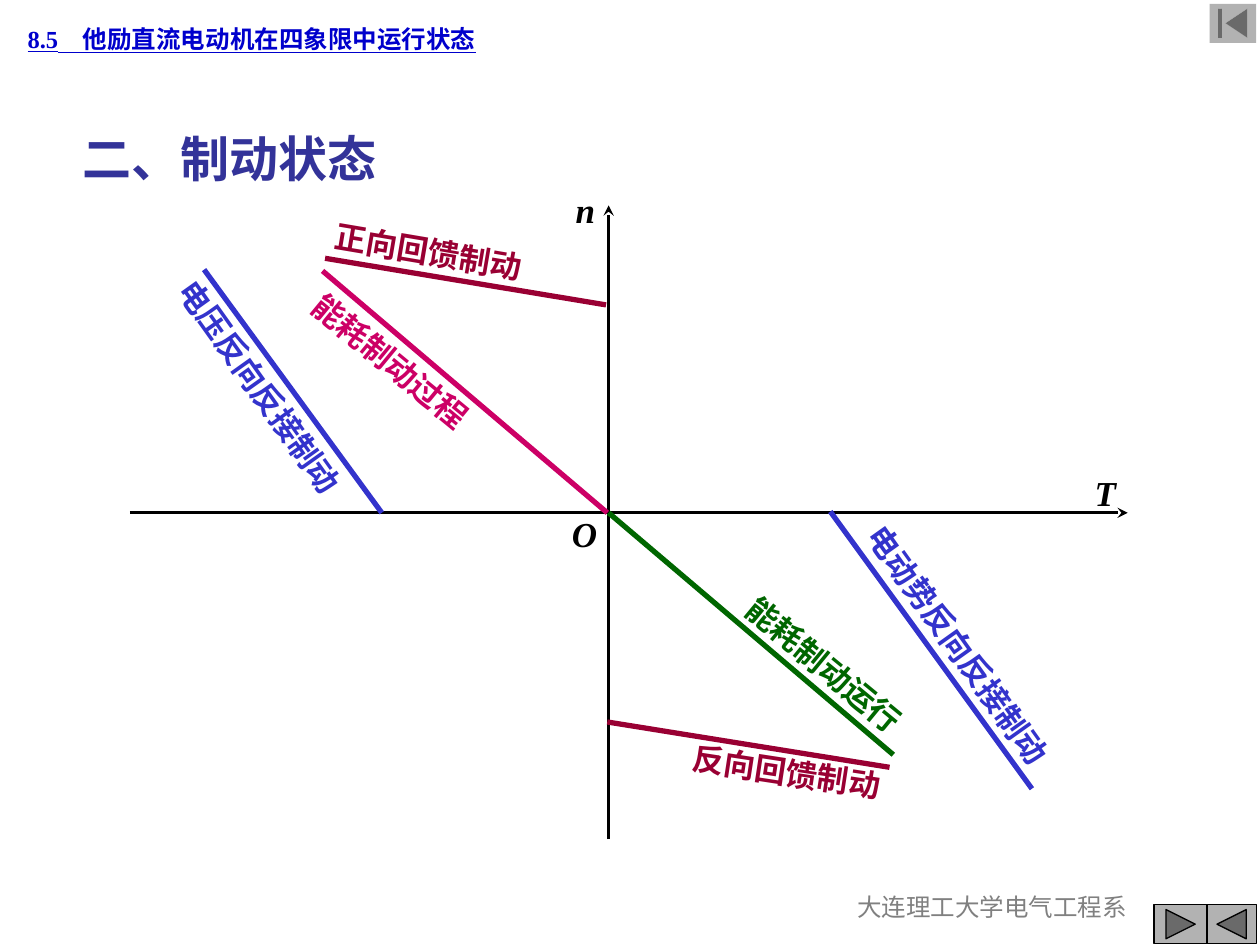
from dataclasses import dataclass

from lxml import etree
from pptx import Presentation
from pptx import util as u
from pptx.dml.color import RGBColor
from pptx.enum import shapes, text
from pptx.oxml.ns import qn

Inches = u.Inches


@dataclass(frozen=True)
class Theme:
    font: str = "Times New Roman"
    black: str = "000000"
    gray: str = "808080"
    button: str = "B2B2B2"
    header: str = "0000CC"
    title: str = "333399"
    regenerative: str = "990033"
    dynamic_process: str = "CC0066"
    dynamic_running: str = "006600"
    reverse: str = "3333CC"
    small: int = 14
    label: int = 18
    axis: int = 20
    heading: int = 28
    thin: float = 1.5
    thick: float = 3


THEME = Theme()


def add_text(slide, box, wording, size, color, align=text.PP_ALIGN.LEFT,
             anchor=text.MSO_ANCHOR.TOP, wrap=True, rotation=0, **font_format):
    shape = slide.shapes.add_textbox(*map(Inches, box))
    shape.rotation = rotation
    frame = shape.text_frame
    frame.word_wrap = wrap
    frame.vertical_anchor = anchor
    paragraph = frame.paragraphs[0]
    paragraph.alignment = align
    run = paragraph.add_run()
    run.text = wording
    values = {"name": THEME.font, "size": u.Pt(size), **font_format}
    for name, value in values.items():
        setattr(run.font, name, value)
    run.font.color.rgb = RGBColor.from_string(color)


def add_line(slide, start, end, color, width, arrow=False):
    connector = slide.shapes.add_connector(
        shapes.MSO_CONNECTOR.STRAIGHT, *map(Inches, (*start, *end)))
    connector.line.color.rgb = RGBColor.from_string(color)
    connector.line.width = u.Pt(width)
    if arrow:
        line = connector.line._get_or_add_ln()
        etree.SubElement(line, qn("a:tailEnd"), type="stealth")
    etree.SubElement(connector._element.spPr, qn("a:effectLst"))


def add_header(slide, box):
    add_text(slide, box, "8.5　他励直流电动机在四象限中运行状态", THEME.small,
             THEME.header, anchor=text.MSO_ANCHOR.MIDDLE, bold=True, underline=True)


def add_title(slide, box):
    add_text(slide, box, "二、制动状态", THEME.heading, THEME.title,
             wrap=False, bold=True)


def add_footer(slide, box):
    add_text(slide, box, "大连理工大学电气工程系", THEME.small, THEME.gray,
             align=text.PP_ALIGN.CENTER)


def add_button(slide, box, preset, outlined=True):
    shape = slide.shapes.add_shape(preset, *map(Inches, box))
    shape.shadow.inherit = False
    shape.fill.solid()
    shape.fill.fore_color.rgb = RGBColor.from_string(THEME.button)
    if outlined:
        shape.line.color.rgb = RGBColor.from_string(THEME.black)
        shape.line.width = u.Pt(0.75)
    else:
        shape.line.fill.background()


def add_diagram(slide, box):
    """Speed-torque plane; every point is an offset from the origin O."""
    left, top, width, height = box
    origin_x, origin_y = left + 3.8, top + 2.62

    def place(point):
        return origin_x + point[0], origin_y + point[1]

    def centered(point, label_width, label_height):
        x, y = place(point)
        return x - label_width / 2, y - label_height / 2, label_width, label_height

    # Axes and their letters
    axes = [
        ((-3.8, 0), (width - 3.94, 0)),
        ((0, height - 2.62), (0, -2.44)),
    ]
    for start, end in axes:
        add_line(slide, place(start), place(end), THEME.black, THEME.thin, arrow=True)
    for letter, center in [("O", (-0.14, 0.17)), ("n", (-0.11, -2.4)),
                           ("T", (4.01, -0.16))]:
        add_text(slide, centered(center, 0.5, 0.44), letter, THEME.axis,
                 THEME.black, bold=True, italic=True)

    # Braking characteristics: name, colour, start, end, label centre, width, angle
    branches = [
        ("正向回馈制动", THEME.regenerative,
         (-2.25, -2.02), (-0.02, -1.65), (-1.4, -2.07), 1.75, 9.6),
        ("反向回馈制动", THEME.regenerative,
         (-0.01, 1.66), (2.23, 2.02), (1.44, 2.06), 1.75, 8.7),
        ("能耗制动过程", THEME.dynamic_process,
         (-2.27, -1.92), (-0.01, 0), (-1.71, -1.19), 1.75, 39.5),
        ("能耗制动运行", THEME.dynamic_running,
         (0, 0), (2.26, 1.92), (1.73, 1.22), 1.75, 39.5),
        ("电压反向反接制动", THEME.reverse,
         (-3.21, -1.93), (-1.8, 0), (-2.75, -0.98), 2.25, 54.5),
        ("电动势反向反接制动", THEME.reverse,
         (1.76, -0.01), (3.36, 2.19), (2.79, 1.07), 2.5, 54.5),
    ]
    for name, color, start, end, center, label_width, angle in branches:
        add_line(slide, place(start), place(end), color, THEME.thick)
        add_text(slide, centered(center, label_width, 0.4), name, THEME.label,
                 color, wrap=False, rotation=angle, bold=True)


def main():
    presentation = Presentation()
    presentation.slide_width = Inches(10)
    presentation.slide_height = Inches(7.5)
    slide = presentation.slides.add_slide(presentation.slide_layouts[6])

    add_footer(slide, (6.29, 7.03, 3.17, 0.5))
    add_title(slide, (0.56, 0.97, 3.69, 0.57))
    add_diagram(slide, (1.03, 1.45, 8.06, 5.21))
    add_header(slide, (0.12, 0.14, 4.41, 0.34))

    # Navigation buttons
    preset = shapes.MSO_SHAPE
    add_button(slide, (9.16, 7.18, 0.42, 0.31), preset.ACTION_BUTTON_FORWARD_OR_NEXT)
    add_button(slide, (9.58, 7.18, 0.39, 0.31), preset.ACTION_BUTTON_BACK_OR_PREVIOUS)
    add_button(slide, (9.6, 0.03, 0.37, 0.31), preset.ACTION_BUTTON_BEGINNING,
               outlined=False)

    presentation.save("out.pptx")


if __name__ == "__main__":
    main()
